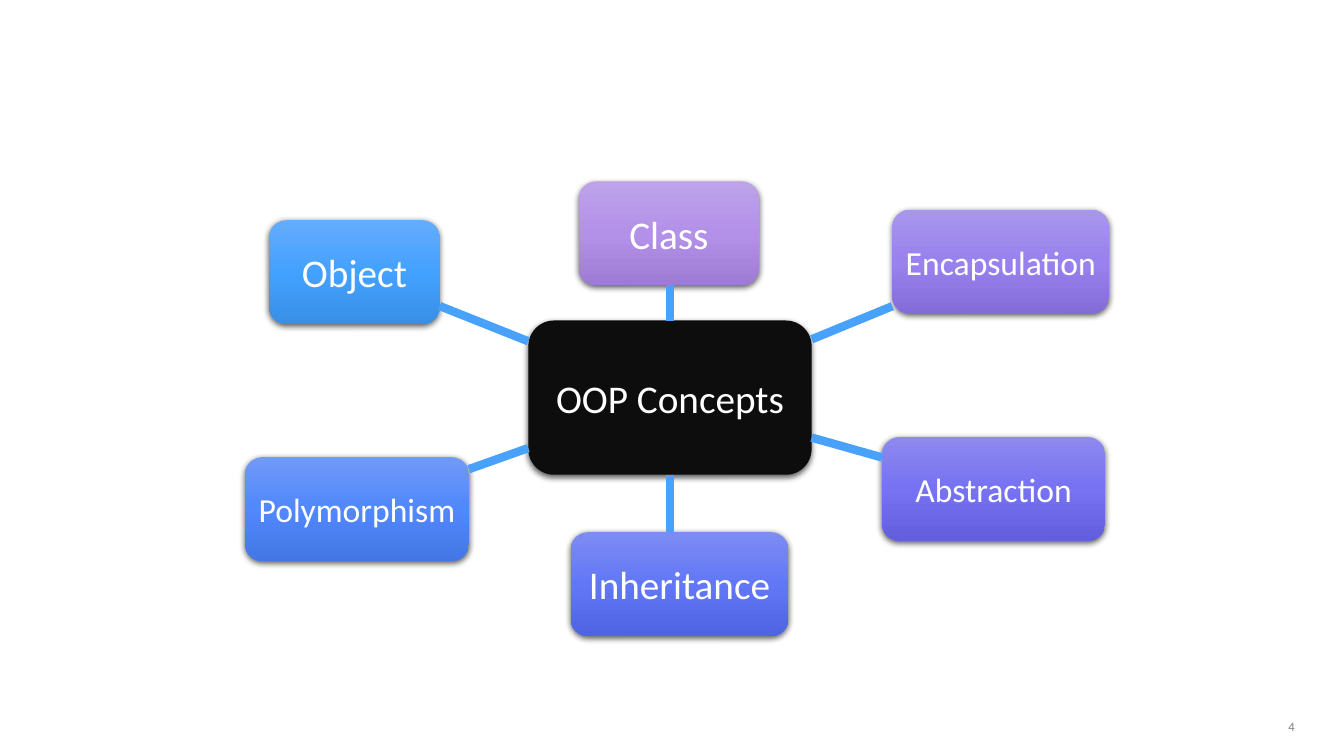
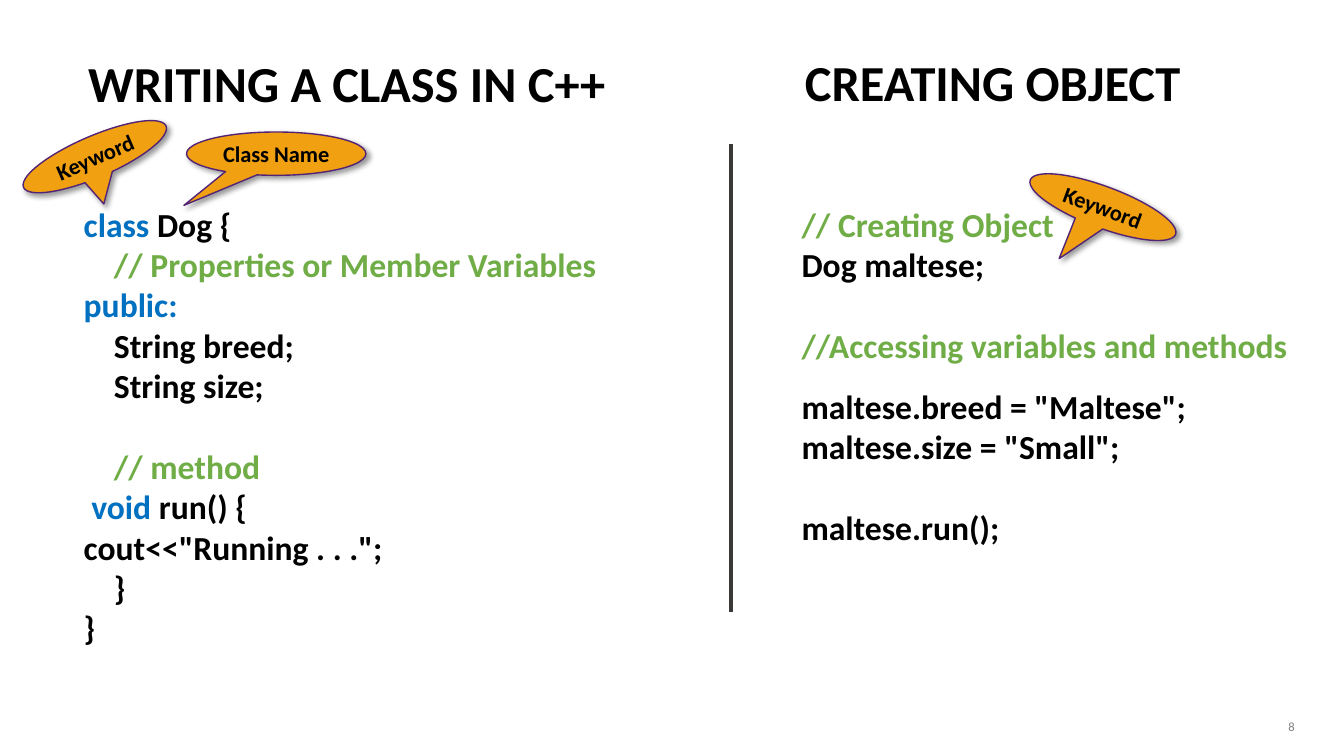
from copy import deepcopy
from dataclasses import dataclass

from lxml import etree
from pptx import Presentation
from pptx.dml.color import RGBColor
from pptx.enum.shapes import MSO_CONNECTOR, MSO_SHAPE
from pptx.enum.text import MSO_ANCHOR, MSO_AUTO_SIZE, PP_ALIGN
from pptx.oxml.ns import qn
from pptx.util import Emu, Inches, Pt

CENTER, RIGHT, LEFT = PP_ALIGN.CENTER, PP_ALIGN.RIGHT, PP_ALIGN.LEFT
TOP, MIDDLE = MSO_ANCHOR.TOP, MSO_ANCHOR.MIDDLE
ROUND, CALLOUT = MSO_SHAPE.ROUNDED_RECTANGLE, MSO_SHAPE.OVAL_CALLOUT
STRAIGHT = MSO_CONNECTOR.STRAIGHT
TWO_CONTENT, BLANK = 3, 6
WIDE, HIGH = Inches(13.33), Inches(7.5)


@dataclass(frozen=True)
class Theme:
    font: str = "Calibri"
    white: str = "FFFFFF"
    black: str = "000000"
    hub: str = "0D0D0D"
    link: str = "48A1FA"
    key: str = "0070C0"
    note: str = "70AD47"
    rule: str = "3B3838"
    flag: str = "F0A010"
    rim: str = "532476"
    page: str = "7F7F7F"
    title_size: int = 36
    large: int = 28
    body: int = 24
    label: int = 16
    small: int = 9


T = Theme()

# Label, size, centre x, centre y, width (shares in %), gradient stops
NODE_HIGH = 13.73
NODES = [
    ("Class", T.large, 49.77, 30.87, 13.43, ("BDA2E9", "B391E9", "9E7CD4")),
    ("Encapsulation", T.body, 74.46, 34.6, 16.13, ("A896EC", "9982ED", "856DD9")),
    ("Abstraction", T.body, 73.93, 64.67, 16.58, ("8D89EF", "7772F1", "635EDD")),
    ("Inheritance", T.large, 50.56, 77.27, 16.2, ("7D8CF2", "6277F6", "4F64E3")),
    ("Polymorphism", T.body, 26.56, 67.33, 16.65, ("7199F7", "5188FC", "4377E5")),
    ("Object", T.large, 26.37, 36, 12.68, ("65ACFD", "43A1FF", "398FE5")),
]

# Indent in inches, space before in points, runs of text and colour
STEP, GAP = 0.3, 29
CLASS_CODE = [
    (0, 0, [("class", T.key), (" Dog {", T.black)]),
    (STEP, 0, [("// Properties or Member Variables", T.note)]),
    (0, 0, [("public:", T.key)]),
    (STEP, 0, [("String breed;", T.black)]),
    (STEP, 0, [("String size;", T.black)]),
    (STEP, GAP, [("// method", T.note)]),
    (STEP / 4, 0, [("void", T.key), (" run() {", T.black)]),
    (0, 0, [('cout<<"Running . . .";', T.black)]),
    (STEP, 0, [("}", T.black)]),
    (0, 0, [("}", T.black)]),
]
OBJECT_CODE = [
    (0, 0, [("// Creating Object", T.note)]),
    (0, 0, [("Dog maltese;", T.black)]),
    (0, GAP, [("//Accessing variables and methods", T.note)]),
    (0, GAP / 2, [('maltese.breed = "Maltese";', T.black)]),
    (0, 0, [('maltese.size = "Small";', T.black)]),
    (0, GAP, [("maltese.run();", T.black)]),
]

# Label, left, top, width, height (shares in %), tilt, pointer
FLAGS = [
    ("Keyword", 1.28, 18, 11.55, 5.47, 336.7, (-0.067, 1.136)),
    ("Class Name", 13.88, 17.47, 13.35, 5.73, 0, (-0.515, 1.193)),
    ("Keyword", 76.29, 24.67, 11.55, 5.47, 20.5, (-0.148, 1.537)),
]


def across(share):
    return Emu(round(WIDE * share / 100))


def down(share):
    return Emu(round(HIGH * share / 100))


def area(left, top, width, height):
    return across(left), down(top), across(width), down(height)


def color(code):
    return RGBColor.from_string(code)


def add_run(para, text, size, code, bold=False):
    run = para.add_run()
    run.text = text
    font = run.font
    font.name, font.size, font.bold = T.font, Pt(size), bold
    font.color.rgb = color(code)


def set_frame(frame, anchor, wrap=True):
    frame.word_wrap = wrap
    frame.auto_size = MSO_AUTO_SIZE.NONE
    frame.vertical_anchor = anchor


def write(shape, text, size, code, bold=False, align=CENTER, anchor=MIDDLE, wrap=False):
    """Put one line of text in a shape."""
    set_frame(shape.text_frame, anchor, wrap)
    para = shape.text_frame.paragraphs[0]
    para.alignment = align
    add_run(para, text, size, code, bold)
    return para


def cast(shape, alpha, blur, dist, angle):
    """Give a shape an outer shadow; lengths in points, alpha in percent."""
    shape.shadow.inherit = False
    effects = shape._element.spPr.find(qn("a:effectLst"))
    outer = etree.SubElement(effects, qn("a:outerShdw"), blurRad=str(Pt(blur)),
                             dist=str(Pt(dist)), dir=str(angle * 60000), rotWithShape="0")
    tone = etree.SubElement(outer, qn("a:srgbClr"), val=T.black)
    etree.SubElement(tone, qn("a:alpha"), val=str(alpha * 1000))


def shade(shape, codes):
    """Fill from top to bottom with three evenly spaced colours."""
    shape.fill.gradient()
    shape.fill.gradient_angle = 270
    stops = shape._element.spPr.find(qn("a:gradFill")).find(qn("a:gsLst"))
    stops.insert(1, deepcopy(stops[0]))
    stops[1].set("pos", "50000")
    for stop, code in zip(shape.fill.gradient_stops, codes):
        stop.color.rgb = color(code)


def add_line(slide, start, end, code, width):
    line = slide.shapes.add_connector(STRAIGHT, *map(round, start + end))
    line.line.color.rgb = color(code)
    line.line.width = Pt(width)
    etree.SubElement(line._element.spPr, qn("a:effectLst"))


def add_node(slide, text, size, x, y, width, height, codes):
    node = slide.shapes.add_shape(ROUND, *area(x - width / 2, y - height / 2, width, height))
    if len(codes) == 1:
        node.fill.solid()
        node.fill.fore_color.rgb = color(codes[0])
    else:
        shade(node, codes)
    node.line.fill.background()
    cast(node, 63, 4.5, 1.5, 90)
    write(node, text, size, T.white)
    return node


def add_link(slide, hub, node):
    """Join two boxes along the line of their centres, from edge to edge."""
    x, y = hub.left + hub.width / 2, hub.top + hub.height / 2
    dx = node.left + node.width / 2 - x
    dy = node.top + node.height / 2 - y
    if abs(dx) < across(1):
        dx = 0

    def reach(box):
        return min(box.width / 2 / max(abs(dx), 1), box.height / 2 / max(abs(dy), 1))

    near, far = reach(hub), 1 - reach(node)
    add_line(slide, (x + dx * near, y + dy * near), (x + dx * far, y + dy * far), T.link, 6)


def add_flag(slide, text, left, top, width, height, tilt, tip):
    flag = slide.shapes.add_shape(CALLOUT, *area(left, top, width, height))
    flag.rotation = tilt
    flag.adjustments[0], flag.adjustments[1] = tip
    flag.fill.solid()
    flag.fill.fore_color.rgb = color(T.flag)
    flag.line.color.rgb = color(T.rim)
    flag.line.width = Pt(1)
    cast(flag, 40, 4, 3, 45)
    write(flag, text, T.label, T.black, bold=True)


def place(shape, box):
    shape.left, shape.top, shape.width, shape.height = box


def set_title(shape, text):
    para = write(shape, text, T.title_size, T.black, bold=True, anchor=TOP, wrap=True)
    para.line_spacing = 0.9


def set_code(holder, lines):
    frame = holder.text_frame
    set_frame(frame, TOP)
    for row, (indent, before, runs) in enumerate(lines):
        para = frame.add_paragraph() if row else frame.paragraphs[0]
        para.alignment = LEFT
        para.space_before, para.space_after = Pt(before), Pt(0)
        props = para._p.get_or_add_pPr()
        props.set("marL", str(Inches(indent)))
        props.set("indent", "0")
        etree.SubElement(props, qn("a:buNone"))
        for text, code in runs:
            add_run(para, text, T.body, code, bold=True)


def add_page(slide, number):
    box = slide.shapes.add_textbox(*area(74.57, 94.27, 22.5, 3.6))
    write(box, number, T.small, T.page, align=RIGHT, wrap=True)


def concept_slide(deck):
    slide = deck.slides.add_slide(deck.slide_layouts[BLANK])
    hub = add_node(slide, "OOP Concepts", T.large, 49.85, 52.6, 21.08, 20.4, (T.hub,))
    for text, size, x, y, width, codes in NODES:
        node = add_node(slide, text, size, x, y, width, NODE_HIGH, codes)
        add_link(slide, hub, node)
    add_page(slide, "4")


def code_slide(deck):
    slide = deck.slides.add_slide(deck.slide_layouts[TWO_CONTENT])
    title, left, right = slide.placeholders
    place(title, area(2, 7.07, 47.64, 8.67))
    set_title(title, "WRITING A CLASS IN C++")
    other = slide.shapes.add_textbox(*area(50.04, 7.07, 47.64, 8.67))
    set_title(other, "CREATING OBJECT")
    place(left, area(5.48, 26.27, 49.81, 60.53))
    set_code(left, CLASS_CODE)
    place(right, area(58.89, 26.27, 41.11, 47.07))
    set_code(right, OBJECT_CODE)
    middle = across(54.39)
    add_line(slide, (middle, down(19.07)), (middle, down(80.93)), T.rule, 3)
    for flag in FLAGS:
        add_flag(slide, *flag)
    add_page(slide, "8")


def main():
    deck = Presentation()
    deck.slide_width, deck.slide_height = WIDE, HIGH
    concept_slide(deck)
    code_slide(deck)
    deck.save("out.pptx")


if __name__ == "__main__":
    main()
